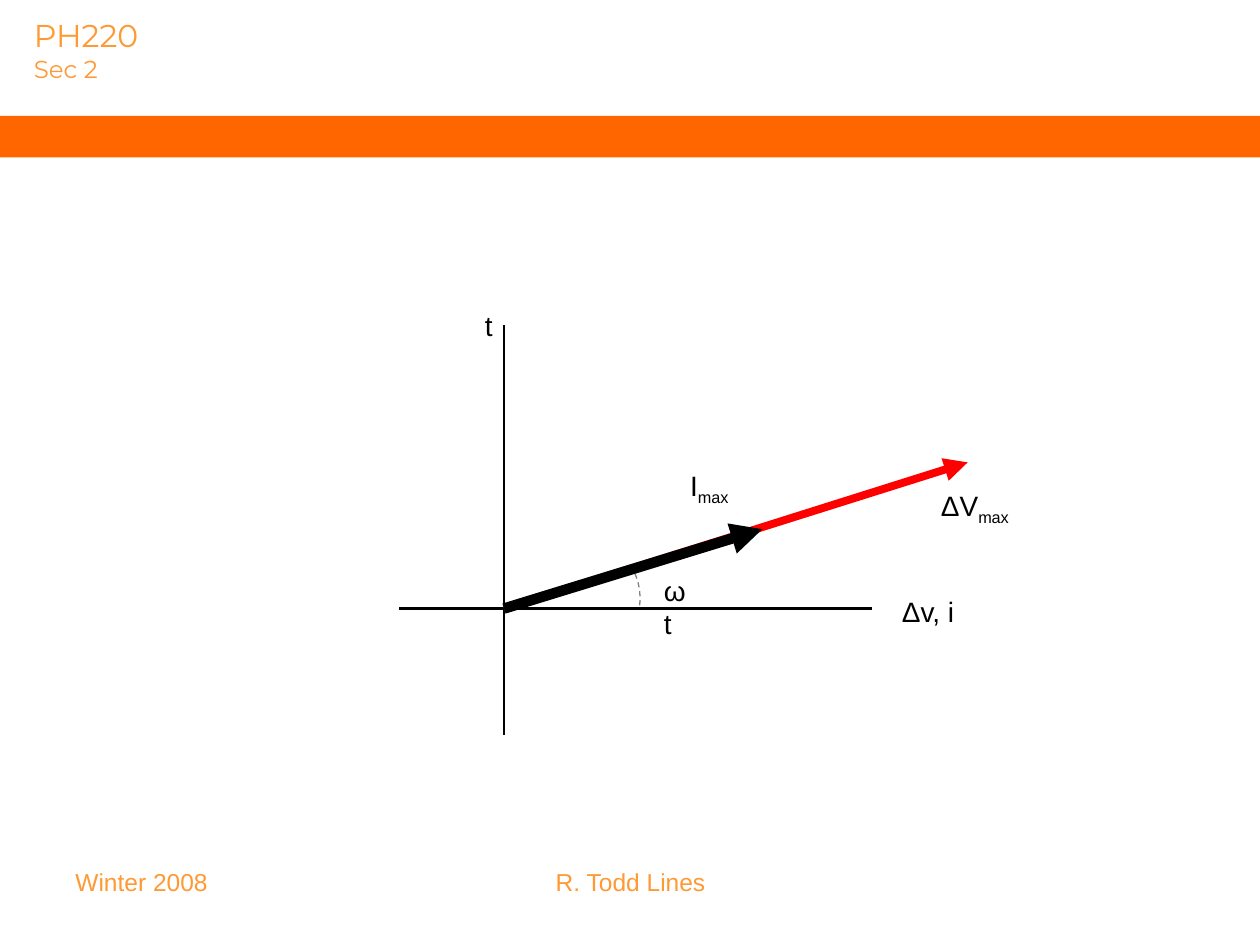
"""Build the PH220 slide with the voltage and current phasor diagram."""
from lxml.etree import SubElement
from pptx import Presentation
from pptx.dml.color import RGBColor
from pptx.enum.dml import MSO_LINE_DASH_STYLE as Dash
from pptx.enum.shapes import MSO_CONNECTOR as Connector, MSO_SHAPE as Shape
from pptx.enum.text import PP_ALIGN as Align
from pptx.oxml.ns import qn
from pptx.util import Inches, Pt

COLORS = {"amber": "FF9933", "orange": "FF6600", "black": "000000",
          "red": "FF0000", "gray": "808080"}
ORIGIN = (4, 4.83)


def add_text(page, place, lines, color, font="Arial", wrap=False, align=Align.LEFT):
    box = page.shapes.add_textbox(*map(Inches, place))
    box.text_frame.word_wrap = wrap
    for index, (text, subscript, size) in enumerate(lines):
        para = box.text_frame.paragraphs[0] if index == 0 else box.text_frame.add_paragraph()
        para.alignment = align
        for part in filter(None, (text, subscript)):
            span = para.add_run()
            span.text = part
            for name, value in {"name": font, "size": Pt(size)}.items():
                setattr(span.font, name, value)
            span.font.color.rgb = RGBColor.from_string(COLORS[color])
            if part == subscript:
                span._r.get_or_add_rPr().set("baseline", "-25000")


def add_line(page, start, end, color, width, arrow=False):
    line = page.shapes.add_connector(Connector.STRAIGHT, *map(Inches, (*start, *end)))
    line.line.color.rgb = RGBColor.from_string(COLORS[color])
    line.line.width = Pt(width)
    properties = line._element.spPr
    if arrow:
        SubElement(properties.find(qn("a:ln")), qn("a:tailEnd"), type="triangle")
    SubElement(properties, qn("a:effectLst"))


deck = Presentation()
deck.slide_width, deck.slide_height = Inches(10), Inches(7.5)
page = deck.slides.add_slide(deck.slide_layouts[6])

add_text(page, (0.17, 0.08, 1.09, 0.63), [("PH220", "", 18), ("Sec 2", "", 14)],
         "amber", "Montserrat")

band = page.shapes.add_shape(Shape.RECTANGLE, *map(Inches, (0, 0.92, 10.08, 0.33)))
band.shadow.inherit = False
band.fill.solid()
band.fill.fore_color.rgb = RGBColor.from_string(COLORS["orange"])
band.line.fill.background()

for text, left, width, align in [("Winter 2008", 0.5, 2.33, Align.LEFT),
                                 ("R. Todd Lines", 3.42, 3.17, Align.CENTER)]:
    add_text(page, (left, 6.83, width, 0.52), [(text, "", 14)], "amber",
             wrap=True, align=align)

add_line(page, (4, 2.58), (4, 5.83), "black", 1.5)
add_line(page, (3.17, 4.83), (6.92, 4.83), "black", 1.5)
add_line(page, ORIGIN, (7.68, 3.67), "red", 4.5, arrow=True)

angle = page.shapes.add_shape(Shape.ARC, *map(Inches, (4.08, 4.25, 1, 1)))
angle.shadow.inherit = False
angle.fill.background()
for index, degrees in enumerate((337, 8)):
    angle.adjustments[index] = degrees * 0.6
angle.line.color.rgb = RGBColor.from_string(COLORS["gray"])
angle.line.width = Pt(0.75)
angle.line.dash_style = Dash.DASH

for text, subscript, left, top, width, wrap in [
    ("ΔV", "max", 7.37, 3.83, 0.77, True),
    ("ωt", "", 5.17, 4.5, 0.42, True),
    ("t", "", 3.75, 2.4, 0.26, False),
    ("Δv, i", "", 7.06, 4.67, 0.62, False),
    ("I", "max", 5.38, 3.67, 0.77, True),
]:
    add_text(page, (left, top, width, 0.37), [(text, subscript, 16)], "black", wrap=wrap)

add_line(page, ORIGIN, (6.05, 4.2), "black", 6, arrow=True)

deck.save("out.pptx")
